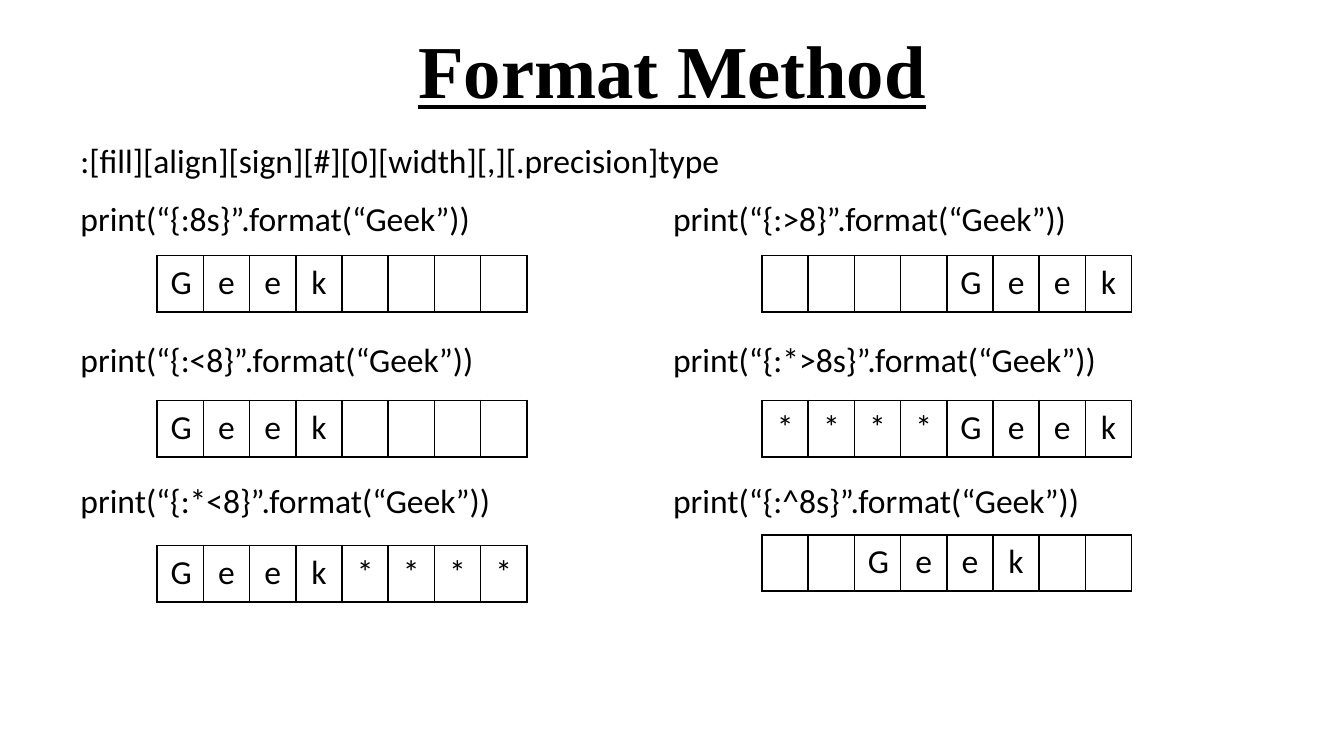
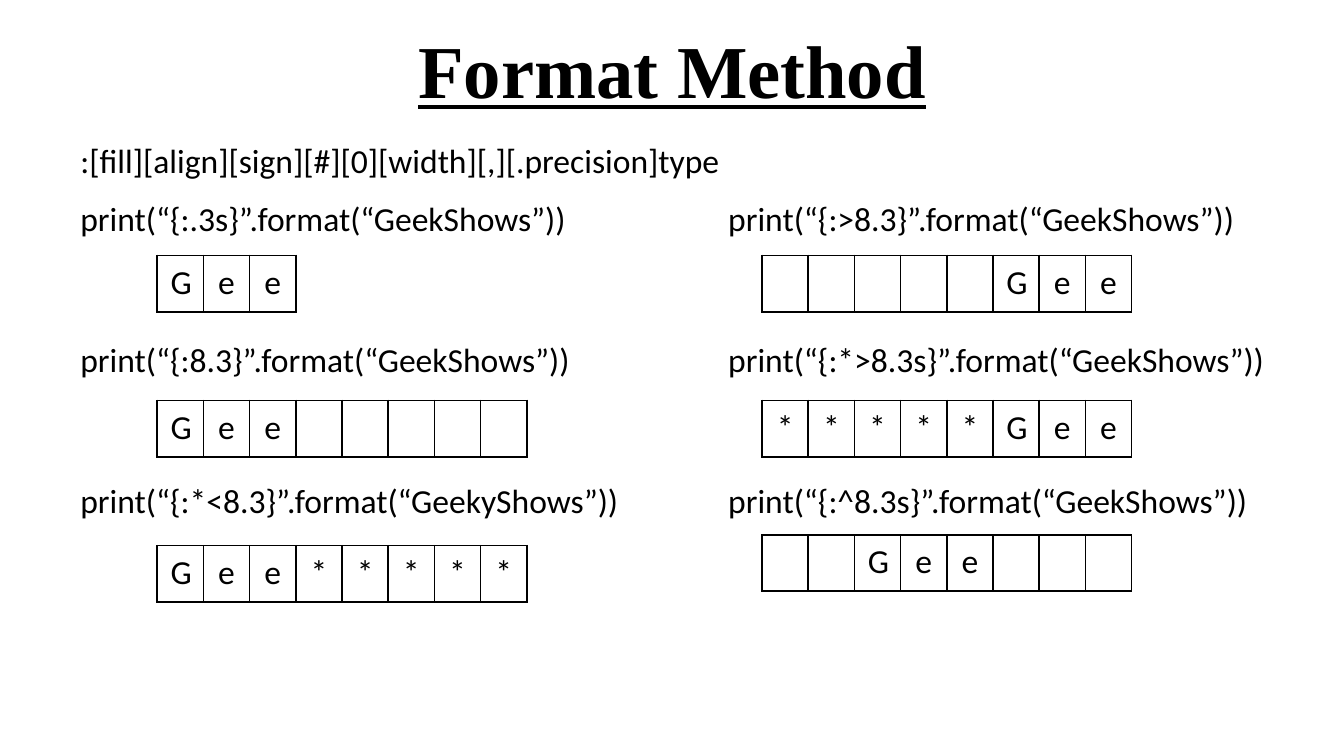
from dataclasses import dataclass

from lxml import etree
from pptx import Presentation
from pptx.dml import color
from pptx.enum import text
from pptx.oxml import ns
from pptx.util import Inches, Pt

BLACK = "000000"
WHITE = "FFFFFF"
SLIDE_WIDTH = 10
SLIDE_HEIGHT = SLIDE_WIDTH * 9 / 16
CELL_WIDTH = 2.75 / 8
CELL_HEIGHT = 0.42
LEFT_GRID = 1.17
RIGHT_GRID = 5.67
LEFT_TOPS = (1.9, 2.98, 4.06)
RIGHT_TOPS = (1.9, 2.98, 3.98)
SYNTAX = ":[fill][align][sign][#][0][width][,][.precision]type"


@dataclass(frozen=True)
class Style:
    font: str
    size: int
    bold: bool = False
    underline: bool = False


TITLE = Style("Times New Roman", 40, bold=True, underline=True)
BODY = Style("Calibri", 18)


@dataclass(frozen=True)
class Box:
    left: float
    top: float
    width: float
    height: float


@dataclass(frozen=True)
class Example:
    spec_text: str
    word: str

    def code(self) -> str:
        return f"print(“{{:{self.spec_text}}}”.format(“{self.word}”))"

    def output(self) -> str:
        return format(self.word, self.spec_text)


@dataclass(frozen=True)
class Column:
    box: Box
    grid_left: float
    grid_tops: tuple[float, ...]
    examples: tuple[Example, ...]


WIDTH_COLUMNS = (
    Column(Box(0.5, 1.06, 4.41, 4.5), LEFT_GRID, LEFT_TOPS,
           (Example("8s", "Geek"), Example("<8", "Geek"), Example("*<8", "Geek"))),
    Column(Box(4.91, 1.06, 4.84, 4.5), RIGHT_GRID, RIGHT_TOPS,
           (Example(">8", "Geek"), Example("*>8s", "Geek"), Example("^8s", "Geek"))),
)
PRECISION_COLUMNS = (
    Column(Box(0.5, 1.06, 4.83, 4.25), LEFT_GRID, LEFT_TOPS,
           (Example(".3s", "GeekShows"), Example("8.3", "GeekShows"),
            Example("*<8.3", "GeekyShows"))),
    Column(Box(5.32, 1.06, 4.43, 4.08), RIGHT_GRID, RIGHT_TOPS,
           (Example(">8.3", "GeekShows"), Example("*>8.3s", "GeekShows"),
            Example("^8.3s", "GeekShows"))),
)


def rgb(value: str) -> color.RGBColor:
    return color.RGBColor.from_string(value)


def format_runs(paragraph, style: Style) -> None:
    for run in paragraph.runs:
        run.font.name = style.font
        run.font.size = Pt(style.size)
        run.font.bold = style.bold
        run.font.underline = style.underline
        run.font.color.rgb = rgb(BLACK)


def add_text(slide, box: Box, content: str, style: Style, wrap: bool = True):
    frame = slide.shapes.add_textbox(
        Inches(box.left), Inches(box.top), Inches(box.width), Inches(box.height)
    ).text_frame
    frame.word_wrap = wrap
    frame.text = content
    for paragraph in frame.paragraphs:
        format_runs(paragraph, style)
    return frame


def add_borders(cell) -> None:
    properties = cell._tc.get_or_add_tcPr()
    for position, side in enumerate(("lnL", "lnR", "lnT", "lnB")):
        line = etree.Element(ns.qn(f"a:{side}"), w=str(Pt(1)))
        fill = etree.SubElement(line, ns.qn("a:solidFill"))
        etree.SubElement(fill, ns.qn("a:srgbClr"), val=BLACK)
        properties.insert(position, line)


def add_character_grid(slide, left: float, top: float, output: str) -> None:
    grid = slide.shapes.add_table(
        1, len(output), Inches(left), Inches(top),
        Inches(CELL_WIDTH * len(output)), Inches(CELL_HEIGHT)
    ).table
    grid.first_row = False
    grid.horz_banding = False
    for index, character in enumerate(output):
        grid.columns[index].width = Inches(CELL_WIDTH)
        cell = grid.cell(0, index)
        cell.fill.background()
        add_borders(cell)
        cell.text_frame.text = character.strip()
        paragraph = cell.text_frame.paragraphs[0]
        paragraph.alignment = text.PP_ALIGN.CENTER
        format_runs(paragraph, BODY)


def add_column(slide, column: Column) -> None:
    codes = "\n".join(example.code() for example in column.examples)
    frame = add_text(slide, column.box, codes, BODY)
    frame.margin_top = Inches(0.41)
    for paragraph in frame.paragraphs[1:]:
        paragraph.space_before = Pt(54)
    for top, example in zip(column.grid_tops, column.examples):
        add_character_grid(slide, column.grid_left, top, example.output())


def add_format_slide(deck, columns: tuple[Column, ...]) -> None:
    slide = deck.slides.add_slide(deck.slide_layouts[6])
    slide.background.fill.solid()
    slide.background.fill.fore_color.rgb = rgb(WHITE)
    title = add_text(slide, Box(0.5, 0.04, 9, 0.94), "Format Method", TITLE)
    title.vertical_anchor = text.MSO_ANCHOR.MIDDLE
    title.paragraphs[0].alignment = text.PP_ALIGN.CENTER
    syntax = add_text(slide, Box(0.5, 0.99, 5.01, 0.4), SYNTAX, BODY, wrap=False)
    syntax.auto_size = text.MSO_AUTO_SIZE.SHAPE_TO_FIT_TEXT
    for column in columns:
        add_column(slide, column)


def main() -> None:
    deck = Presentation()
    deck.slide_width = Inches(SLIDE_WIDTH)
    deck.slide_height = Inches(SLIDE_HEIGHT)
    for columns in (WIDTH_COLUMNS, PRECISION_COLUMNS):
        add_format_slide(deck, columns)
    deck.save("out.pptx")


if __name__ == "__main__":
    main()
